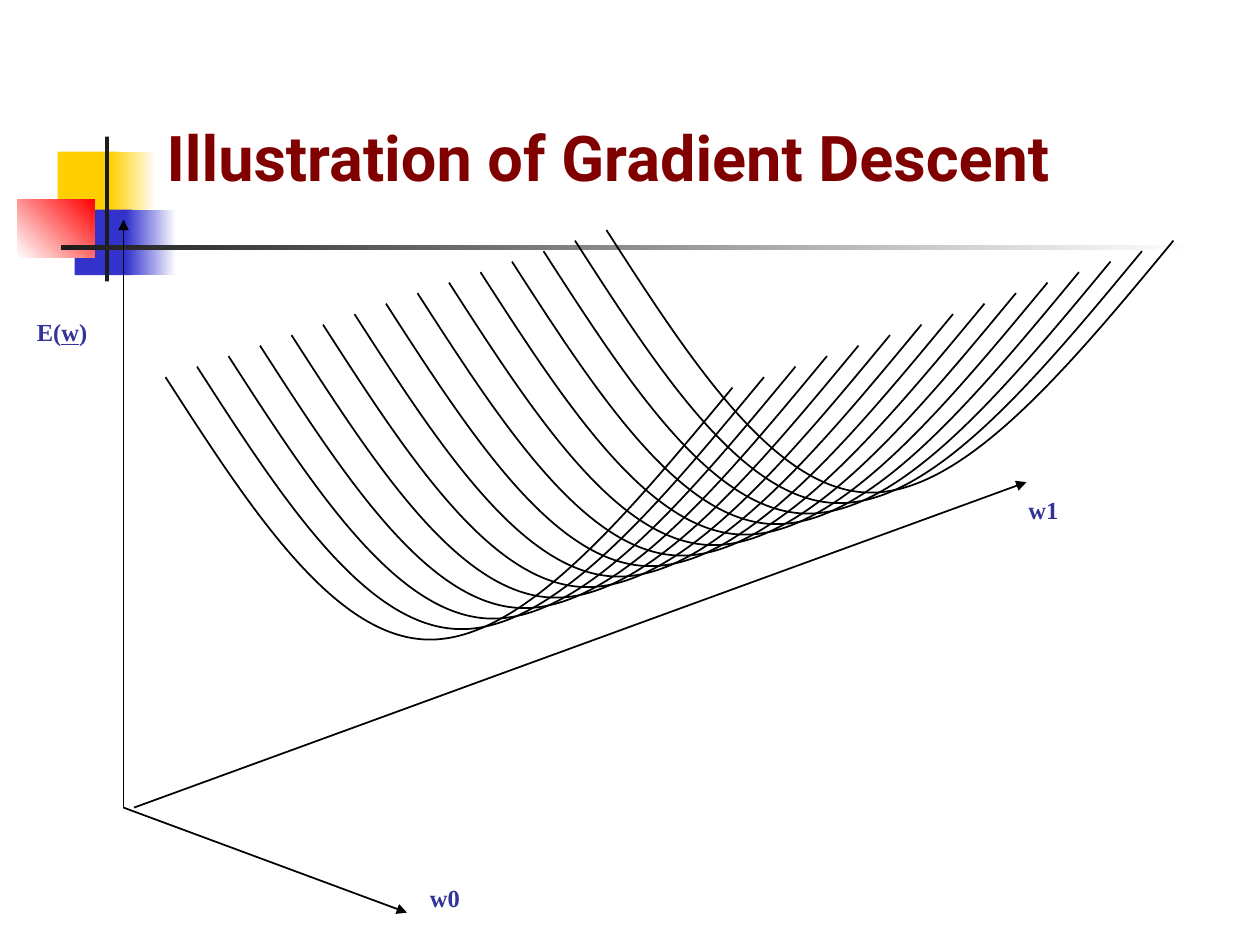
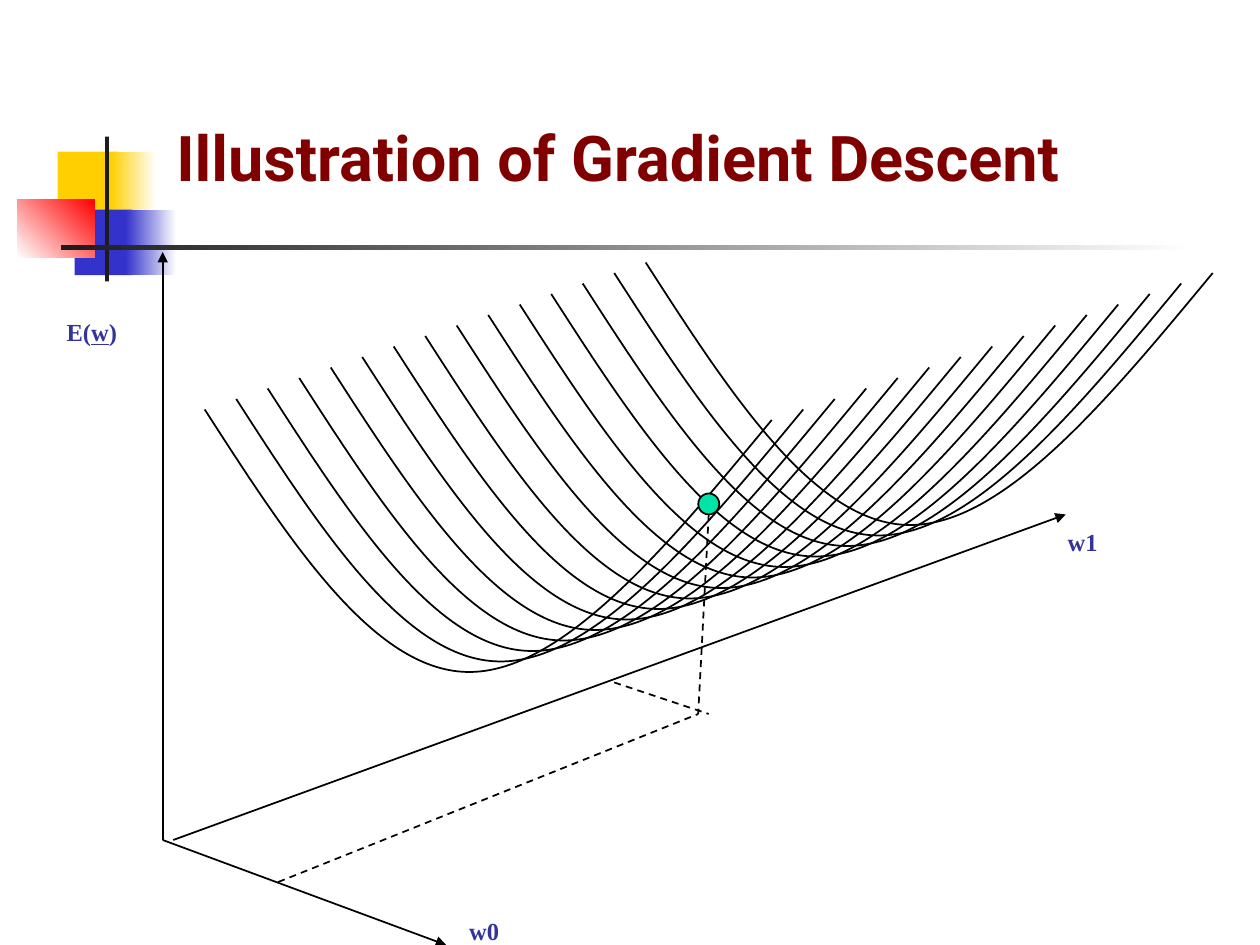
from lxml.etree import SubElement
from pptx import Presentation
from pptx.dml.color import RGBColor
from pptx.enum.dml import MSO_LINE
from pptx.enum.shapes import MSO_CONNECTOR, MSO_SHAPE
from pptx.enum.text import MSO_ANCHOR, MSO_AUTO_SIZE, PP_ALIGN
from pptx.oxml.ns import qn
from pptx.util import Pt

COLORS = {
    "title": "800000", "label": "333399", "line": "000000", "point": "00E4A8",
    "yellow": "FFCF01", "blue": "3333CC", "red": "FF0000", "dark": "1C1C1C", "white": "FFFFFF",
}
DECORATIONS = [
    (33, 86.6, 34.5, 37.4, ["yellow"], 0),
    (63.2, 86.6, 26, 37.4, ["yellow", "white"], 0),
    (42.6, 119.8, 33, 37.4, ["blue"], 0),
    (72, 119.8, 28.8, 37.4, ["blue", "white"], 0),
    (10, 113.8, 44, 33.2, ["white", "red"], 45),
    (60, 78, 2.3, 82.8, ["dark"], 0),
    (34.8, 140.2, 648, 2.5, ["dark", "white"], 0),
]
BOWL = [(0, 0), (48, 74.5), (96, 149), (150, 150), (204, 151), (264, 78.5), (324, 6)]
BOWL_COUNT = 15
BOWL_STEP = (18, -6)


class Sketch:
    title_font = "Roboto"
    label_font = "Times New Roman"

    def __init__(self):
        self.deck = Presentation()
        self.deck.slide_width, self.deck.slide_height = Pt(720), Pt(540)
        self.layout = self.deck.slide_layouts[5]
        self.page = None

    def color(self, name):
        return RGBColor.from_string(COLORS[name])

    def new_page(self):
        self.page = self.deck.slides.add_slide(self.layout)

    def share(self, shape):
        self.layout.shapes.element.append(shape.element)

    def shape(self, kind, left, top, width, height, fills, angle=0, outlined=False):
        shape = self.page.shapes.add_shape(kind, Pt(left), Pt(top), Pt(width), Pt(height))
        shape.shadow.inherit = False
        if len(fills) == 1:
            shape.fill.solid()
            shape.fill.fore_color.rgb = self.color(fills[0])
        else:
            shape.fill.gradient()
            shape.fill.gradient_angle = angle
            for stop, name in zip(shape.fill.gradient_stops, fills):
                stop.color.rgb = self.color(name)
        if outlined:
            self.outline(shape)
        else:
            shape.line.fill.background()
        return shape

    def outline(self, shape):
        shape.line.color.rgb = self.color("line")
        shape.line.width = Pt(1)

    def line(self, start, end, arrow=False, dashed=False):
        line = self.page.shapes.add_connector(
            MSO_CONNECTOR.STRAIGHT, *[Pt(value) for value in (*start, *end)])
        self.outline(line)
        if dashed:
            line.line.dash_style = MSO_LINE.DASH
        properties = line.element.spPr
        if arrow:
            SubElement(properties.find(qn("a:ln")), qn("a:tailEnd"), type="triangle")
        SubElement(properties, qn("a:effectLst"))

    def curve(self, points):
        start, *rest = [(Pt(x), Pt(y)) for x, y in points]
        builder = self.page.shapes.build_freeform(*start)
        builder.add_line_segments(rest, close=False)
        curve = builder.convert_to_shape()
        outline_path = next(curve.element.iter(qn("a:path")))
        segments = outline_path.findall(qn("a:lnTo"))
        for first in range(0, len(segments), 3):
            bezier = SubElement(outline_path, qn("a:cubicBezTo"))
            for segment in segments[first:first + 3]:
                bezier.append(segment[0])
                outline_path.remove(segment)
        curve.shadow.inherit = False
        curve.fill.background()
        self.outline(curve)

    def title(self, text, left):
        title = self.page.shapes.title
        title.left, title.top, title.width, title.height = Pt(left), Pt(31.7), Pt(613.4), Pt(115.2)
        frame = title.text_frame
        frame.text = text
        frame.auto_size = MSO_AUTO_SIZE.NONE
        frame.vertical_anchor = MSO_ANCHOR.MIDDLE
        frame.paragraphs[0].alignment = PP_ALIGN.LEFT
        self.format(frame.paragraphs[0].runs[0], self.title_font, 36, "title")

    def label(self, left, top, width, parts, underlined=None):
        box = self.page.shapes.add_textbox(Pt(left), Pt(top), Pt(width), Pt(36))
        frame = box.text_frame
        frame.word_wrap = True
        frame.vertical_anchor = MSO_ANCHOR.BOTTOM
        frame.margin_bottom = 0
        for part in parts:
            span = frame.paragraphs[0].add_run()
            span.text = part
            self.format(span, self.label_font, 14, "label")
            if part == underlined:
                span.font.underline = True

    def format(self, span, font, size, color):
        span.font.name = font
        span.font.size = Pt(size)
        span.font.bold = True
        span.font.color.rgb = self.color(color)


def draw_error_surface(sketch, x, y, title_left, error_label_left):
    sketch.title("Illustration of Gradient Descent", title_left)
    for index in range(BOWL_COUNT):
        left = x + 24 + index * BOWL_STEP[0]
        top = y - 246 + index * BOWL_STEP[1]
        sketch.curve([(left + dx, top + dy) for dx, dy in BOWL])
    sketch.line((x, y), (x, y - 336), arrow=True)
    sketch.line((x, y), (x + 162, y + 60), arrow=True)
    sketch.line((x + 6, y), (x + 516, y - 186), arrow=True)
    sketch.label(x + 510, y - 198, 40, ["w1"])
    sketch.label(x + 168, y + 24, 40, ["w0"])
    sketch.label(error_label_left, 162, 64, ["E(", "w", ")"], underlined="w")


def draw_current_weights(sketch):
    sketch.shape(MSO_SHAPE.OVAL, 399, 282, 12, 12, ["point"], outlined=True)
    sketch.line((159, 504), (399, 408), dashed=True)
    sketch.line((351, 390), (405, 408), dashed=True)
    sketch.line((405, 294), (399, 408), dashed=True)


def main():
    sketch = Sketch()
    sketch.new_page()
    for left, top, width, height, fills, angle in DECORATIONS:
        sketch.share(sketch.shape(MSO_SHAPE.RECTANGLE, left, top, width, height, fills, angle))
    draw_error_surface(sketch, 70.6, 461.5, 88, 14)
    sketch.new_page()
    draw_error_surface(sketch, 93, 480, 93.6, 31)
    draw_current_weights(sketch)
    sketch.deck.save("out.pptx")


if __name__ == "__main__":
    main()
